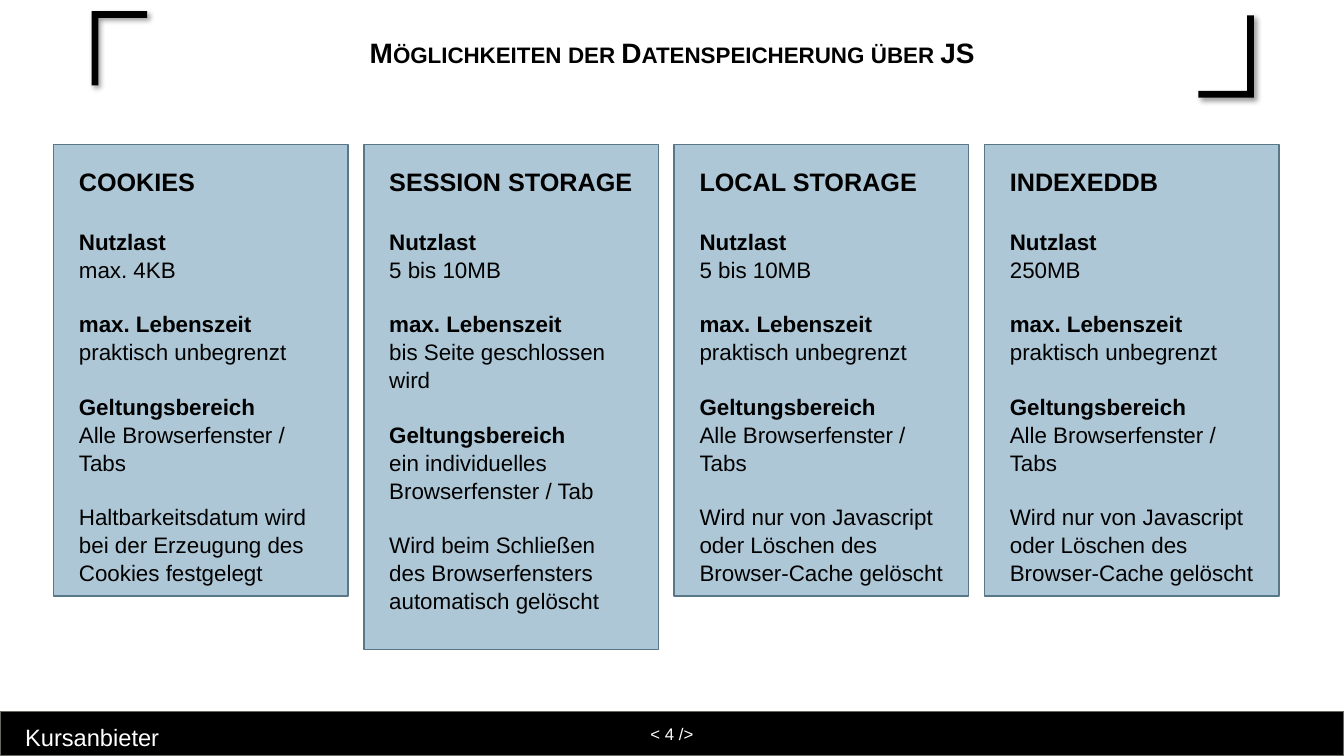
from lxml.etree import SubElement
from pptx import Presentation
from pptx.dml.color import RGBColor
from pptx.enum.shapes import MSO_SHAPE
from pptx.enum.text import MSO_ANCHOR, PP_ALIGN
from pptx.oxml.ns import qn
from pptx.util import Cm, Pt

BLACK = RGBColor(0x00, 0x00, 0x00)
WHITE = RGBColor(0xFF, 0xFF, 0xFF)
CARD_FILL = RGBColor(0xAD, 0xC7, 0xD6)
CARD_LINE = RGBColor(0x58, 0x78, 0x8A)
BAR_LINE = RGBColor(0x68, 0x68, 0x63)

WIDTH, HEIGHT = 33.87, 19.05
CARD_LEFT, CARD_TOP, CARD_STEP, CARD_WIDTH = 1.35, 3.64, 7.82, 7.42
PADDING, TEXT_WIDTH = 0.39, 6.7

LABELS = ("Nutzlast", "max. Lebenszeit", "Geltungsbereich")
ALL_TABS = "Alle Browserfenster / Tabs"
SCRIPT_DELETES = "Wird nur von Javascript oder Löschen des Browser-Cache gelöscht"
# Heading, card height, one value per label, closing remark
STORAGES = [
    ("COOKIES", 11.38, ("max. 4KB", "praktisch unbegrenzt", ALL_TABS),
     "Haltbarkeitsdatum wird bei der Erzeugung des Cookies festgelegt"),
    ("SESSION STORAGE", 12.73,
     ("5 bis 10MB", "bis Seite geschlossen wird", "ein individuelles Browserfenster / Tab"),
     "Wird beim Schließen des Browserfensters automatisch gelöscht"),
    ("LOCAL STORAGE", 11.38, ("5 bis 10MB", "praktisch unbegrenzt", ALL_TABS), SCRIPT_DELETES),
    ("INDEXEDDB", 11.38, ("250MB", "praktisch unbegrenzt", ALL_TABS), SCRIPT_DELETES),
]


class Deck:
    """Holds the style and the current slide; lengths are centimetres."""

    font = "Arial"

    def __init__(self, s):
        """Keep the slide to draw on."""
        self.s = s

    def style(self, r, size, color=BLACK, bold=False):
        """Format one run."""
        r.font.name = self.font
        r.font.size = Pt(size)
        r.font.bold = bold
        r.font.color.rgb = color

    def rect(self, x, y, w, h, fill, line):
        """Draw a flat rectangle with a thin outline."""
        sp = self.s.shapes.add_shape(MSO_SHAPE.RECTANGLE, Cm(x), Cm(y), Cm(w), Cm(h))
        sp.shadow.inherit = False
        sp.fill.solid()
        sp.fill.fore_color.rgb = fill
        sp.line.color.rgb = line
        sp.line.width = Pt(1)
        return sp

    def box(self, x, y, w, h, anchor=MSO_ANCHOR.TOP):
        """Add a wrapping text box and return its text frame."""
        tf = self.s.shapes.add_textbox(Cm(x), Cm(y), Cm(w), Cm(h)).text_frame
        tf.word_wrap = True
        tf.vertical_anchor = anchor
        return tf

    def line(self, tf, text, size, color=BLACK, bold=False, spacing=1.0):
        """Fill a text frame with one centred line and return its run."""
        tf.text = text
        p = tf.paragraphs[0]
        p.alignment = PP_ALIGN.CENTER
        p.line_spacing = spacing
        self.style(p.runs[0], size, color, bold)
        return p.runs[0]

    def corner(self, x, y, dx, dy, t=0.17):
        """Draw a shadowed bracket whose arms run dx and dy from its outer corner."""
        tx, ty = (t, t) if dx > 0 else (-t, -t)
        points = [(x, y), (x + dx, y), (x + dx, y + ty), (x + tx, y + ty),
                  (x + tx, y + dy), (x, y + dy)]
        emu = [(Cm(px), Cm(py)) for px, py in points]
        builder = self.s.shapes.build_freeform(*emu[0])
        builder.add_line_segments(emu[1:], close=True)
        sp = builder.convert_to_shape()
        sp.fill.solid()
        sp.fill.fore_color.rgb = BLACK
        sp.line.fill.background()
        sp.shadow.inherit = False
        effects = sp._element.spPr.find(qn("a:effectLst"))
        shadow = SubElement(effects, qn("a:outerShdw"), blurRad=str(Pt(4)),
                            dist=str(Pt(3)), dir=str(45 * 60000), rotWithShape="0")
        color = SubElement(shadow, qn("a:srgbClr"), val=str(BLACK))
        SubElement(color, qn("a:alpha"), val="40000")

    def card(self, x, heading, height, values, remark):
        """Draw one storage card with its heading, facts and remark."""
        self.rect(x, CARD_TOP, CARD_WIDTH, height, CARD_FILL, CARD_LINE)
        tf = self.box(x + PADDING, CARD_TOP + PADDING, TEXT_WIDTH, height - 0.7)
        facts = [f"{label}\v{value}" for label, value in zip(LABELS, values)]
        tf.text = "\n".join([heading, *facts, remark])
        for i, p in enumerate(tf.paragraphs):
            p.line_spacing = 1.04
            p.space_after = Pt(22 if i == 0 else 19)
            for j, r in enumerate(p.runs):
                is_label = j == 0 and i <= len(LABELS)
                self.style(r, 18 if i == 0 else 16, bold=is_label)
        tf.paragraphs[-1].space_after = Pt(0)


def main():
    """Build the slide and save it."""
    prs = Presentation()
    prs.slide_width, prs.slide_height = Cm(WIDTH), Cm(HEIGHT)
    deck = Deck(prs.slides.add_slide(prs.slide_layouts[6]))

    deck.corner(2.31, 0.28, 1.4, 1.87)
    deck.corner(31.6, 2.46, -1.4, -2.07)

    bar = deck.rect(0, 17.93, WIDTH, 1.12, BLACK, BAR_LINE)
    bar.text_frame.vertical_anchor = MSO_ANCHOR.MIDDLE
    deck.line(bar.text_frame, "< 4 />", 12, WHITE)
    deck.line(deck.box(0.2, 17.98, 4.25, 1.3), "Kursanbieter", 16.9, WHITE, spacing=1.14)

    title = deck.line(deck.box(2.64, 0.61, 28.6, 1.52, MSO_ANCHOR.MIDDLE),
                      "Möglichkeiten der Datenspeicherung über JS", 20, bold=True, spacing=0.9)
    title.font._element.set("cap", "small")

    for i, storage in enumerate(STORAGES):
        deck.card(CARD_LEFT + i * CARD_STEP, *storage)

    prs.save("out.pptx")


main()
